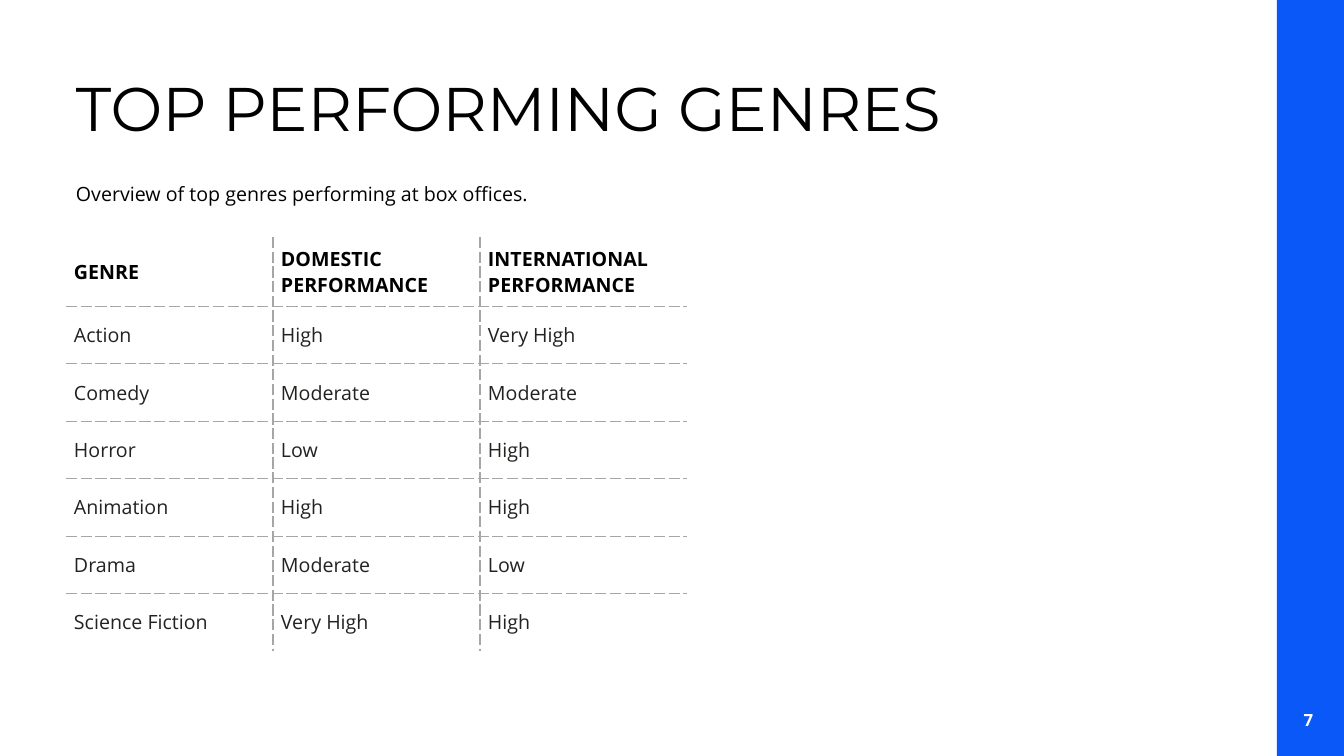
from lxml import etree
from pptx import Presentation
from pptx.dml.color import RGBColor
from pptx.enum.shapes import MSO_SHAPE
from pptx.enum.text import MSO_ANCHOR, PP_ALIGN
from pptx.oxml.ns import qn
from pptx.util import Emu, Pt

PX_PER_INCH = 100.8
RECTANGLE = MSO_SHAPE.RECTANGLE
MIDDLE = MSO_ANCHOR.MIDDLE
LEFT, CENTER = PP_ALIGN.LEFT, PP_ALIGN.CENTER

BLACK = RGBColor(0x00, 0x00, 0x00)
CHARCOAL = RGBColor(0x23, 0x22, 0x20)
WHITE = RGBColor(0xFF, 0xFF, 0xFF)
BLUE = RGBColor(0x09, 0x58, 0xF7)
GREY = RGBColor(0xA6, 0xA6, 0xA6)

TITLE = {"name": "Montserrat", "size": Pt(44), "bold": False}
BODY = {"name": "Open Sans", "size": Pt(14), "bold": False}
HEADER = {**BODY, "bold": True}
PAGE = {"name": "Open Sans", "size": Pt(12), "bold": True}

GENRES = [
    ("GENRE", "DOMESTIC PERFORMANCE", "INTERNATIONAL PERFORMANCE"),
    ("Action", "High", "Very High"),
    ("Comedy", "Moderate", "Moderate"),
    ("Horror", "Low", "High"),
    ("Animation", "High", "High"),
    ("Drama", "Moderate", "Low"),
    ("Science Fiction", "Very High", "High"),
]
COLUMN_WIDTH = 207
ROW_HEIGHTS = [69] + [57, 58] * 3


def px(length):
    return Emu(round(length * 914400 / PX_PER_INCH))


def write(frame, wording, style, color, align=LEFT):
    frame.word_wrap = True
    paragraph = frame.paragraphs[0]
    paragraph.alignment = align
    run = paragraph.add_run()
    run.text = wording
    for attribute, value in style.items():
        setattr(run.font, attribute, value)
    run.font.color.rgb = color


def add_text(slide, bounds, wording, style, color, align=LEFT):
    frame = slide.shapes.add_textbox(*map(px, bounds)).text_frame
    frame.vertical_anchor = MIDDLE
    write(frame, wording, style, color, align)


def add_sidebar(slide, bounds):
    sidebar = slide.shapes.add_shape(RECTANGLE, *map(px, bounds))
    sidebar.shadow.inherit = False
    sidebar.fill.solid()
    sidebar.fill.fore_color.rgb = BLUE
    sidebar.line.fill.background()


def set_borders(cell, visible):
    properties = cell._tc.get_or_add_tcPr()
    for index, (side, shown) in enumerate(visible.items()):
        width = Pt(1) if shown else 0
        border = etree.Element(qn(f"a:{side}"), w=str(width))
        if shown:
            fill = etree.SubElement(border, qn("a:solidFill"))
            etree.SubElement(fill, qn("a:srgbClr"), val=str(GREY))
            etree.SubElement(border, qn("a:prstDash"), val="sysDash")
        else:
            etree.SubElement(border, qn("a:noFill"))
        properties.insert(index, border)


def add_genre_table(slide, left, top):
    row_count, column_count = len(GENRES), len(GENRES[0])
    size = (COLUMN_WIDTH * column_count, sum(ROW_HEIGHTS))
    table = slide.shapes.add_table(
        row_count, column_count, *map(px, (left, top, *size))
    ).table
    table.horz_banding = False
    for column in table.columns:
        column.width = px(COLUMN_WIDTH)
    for r, (height, entries) in enumerate(zip(ROW_HEIGHTS, GENRES)):
        table.rows[r].height = px(height)
        style, color = (BODY, CHARCOAL) if r else (HEADER, BLACK)
        for c, entry in enumerate(entries):
            cell = table.cell(r, c)
            cell.fill.background()
            cell.vertical_anchor = MIDDLE
            for side in ("left", "top", "right", "bottom"):
                setattr(cell, f"margin_{side}", px(8))
            write(cell.text_frame, entry, style, color)
            set_borders(cell, {
                "lnL": c > 0,
                "lnR": c < column_count - 1,
                "lnT": r > 0,
                "lnB": r < row_count - 1,
            })


def main():
    deck = Presentation()
    deck.slide_width, deck.slide_height = px(1344), px(756)
    slide = deck.slides.add_slide(deck.slide_layouts[6])
    add_sidebar(slide, (1277, 0, 67, 756))
    add_genre_table(slide, 66, 237)
    add_text(slide, (66, 63, 1142, 87), "TOP PERFORMING GENRES", TITLE, BLACK)
    add_text(slide, (66, 150, 672, 87),
             "Overview of top genres performing at box offices.", BODY, BLACK)
    add_text(slide, (1275, 700, 67, 39), "7", PAGE, WHITE, CENTER)
    deck.save("out.pptx")


if __name__ == "__main__":
    main()
